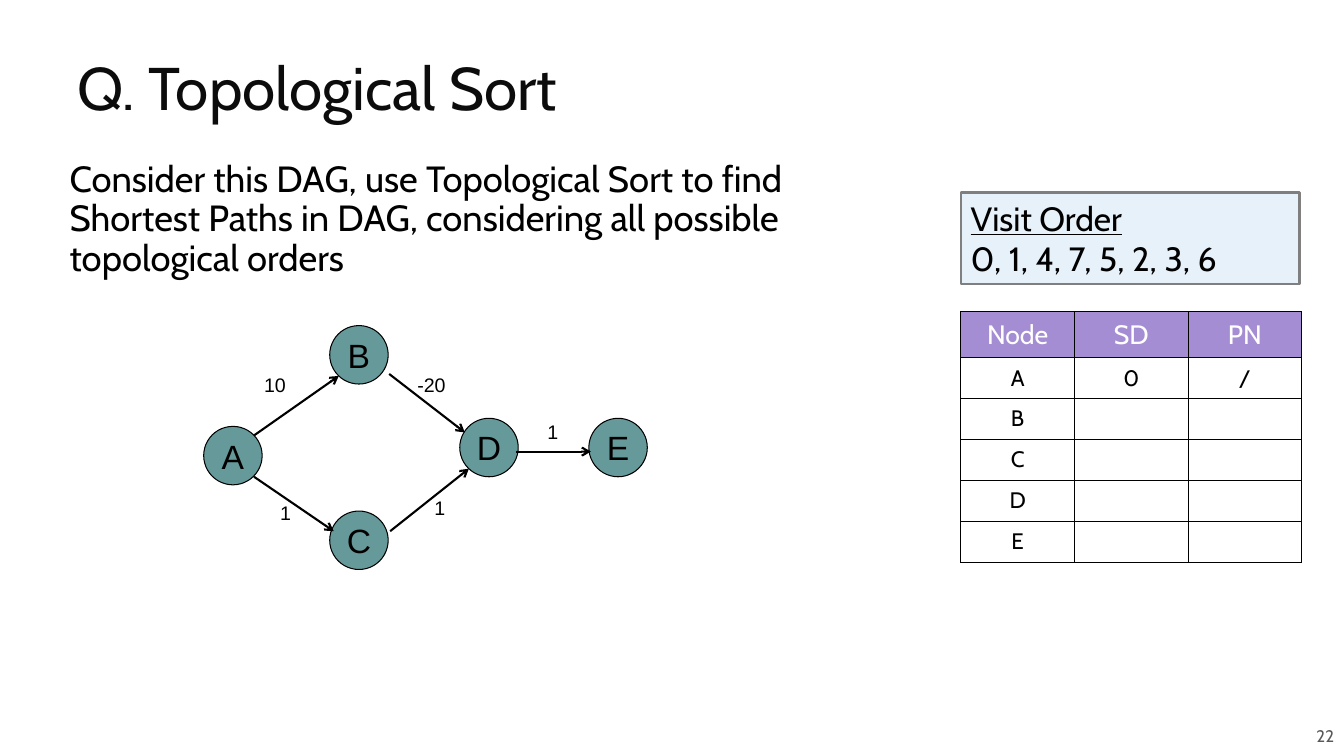
from dataclasses import dataclass

from lxml import etree
from pptx import Presentation
from pptx.dml.color import RGBColor
from pptx.enum import shapes, text
from pptx.oxml import ns
from pptx.util import Inches, Pt


@dataclass(frozen=True)
class Theme:
    """Fonts, colours and type sizes of the slide."""
    font: str = "Cabin"
    graph_font: str = "Arial"
    black: str = "000000"
    white: str = "FFFFFF"
    title: str = "0C0C0C"
    muted: str = "595959"
    node: str = "669999"
    panel: str = "E7F1FA"
    panel_line: str = "7F7F7F"
    header: str = "A48DD3"
    title_size: int = 43
    body_size: int = 26
    panel_size: int = 24
    node_size: int = 24
    header_size: int = 19
    cell_size: int = 16
    edge_size: int = 14
    number_size: int = 12


T = Theme()
MIDDLE = text.MSO_ANCHOR.MIDDLE
CENTER = text.PP_ALIGN.CENTER
NODE_SIZE = 0.58
NODES = {"A": (0, 1), "B": (1.25, 0), "C": (1.25, 1.84), "D": (2.54, 0.92), "E": (3.82, 0.92)}
EDGES = [
    ("10", (0.5, 1.09), (1.34, 0.5), (0.5, 0.42)),
    ("1", (0.5, 1.5), (1.29, 2.04), (0.66, 1.69)),
    ("-20", (1.84, 0.48), (2.59, 1.06), (2.02, 0.42)),
    ("1", (1.85, 2.04), (2.63, 1.42), (2.19, 1.64)),
    ("1", (3.1, 1.25), (3.84, 1.25), (3.31, 0.89)),
]
ROWS = [("Node", "SD", "PN"), ("A", "0", "/")] + [(n, "", "") for n in "BCDE"]


def rgb(value):
    """Turn a hex string into a colour."""
    return RGBColor.from_string(value)


def add_run(p, words, size, color=T.black, font=T.font, underline=None):
    """Append a styled run to a paragraph."""
    r = p.add_run()
    r.text = words
    r.font.name, r.font.size, r.font.underline = font, Pt(size), underline
    r.font.color.rgb = rgb(color)


def set_frame(tf, inset_x=0.1, inset_y=0.05, anchor=text.MSO_ANCHOR.TOP):
    """Set wrapping, insets and anchor, and return the first paragraph."""
    tf.word_wrap = True
    tf.margin_left = tf.margin_right = Inches(inset_x)
    tf.margin_top = tf.margin_bottom = Inches(inset_y)
    tf.vertical_anchor = anchor
    return tf.paragraphs[0]


def add_text(s, box, words, size, color=T.black, font=T.font, spacing=None,
             align=text.PP_ALIGN.LEFT, **frame):
    """Add a one-paragraph text box."""
    p = set_frame(s.shapes.add_textbox(*map(Inches, box)).text_frame, **frame)
    p.alignment, p.line_spacing = align, spacing
    add_run(p, words, size, color, font)


def add_filled(s, kind, box, fill, line, width):
    """Add a flat outlined shape."""
    sp = s.shapes.add_shape(kind, *map(Inches, box))
    sp.shadow.inherit = False
    sp.fill.solid()
    sp.fill.fore_color.rgb = rgb(fill)
    sp.line.color.rgb = rgb(line)
    sp.line.width = Pt(width)
    return sp


def add_arrow(s, start, end):
    """Draw a straight line with an open arrowhead."""
    c = s.shapes.add_connector(shapes.MSO_CONNECTOR.STRAIGHT, *map(Inches, (*start, *end)))
    c.line.color.rgb = rgb(T.black)
    c.line.width = Pt(1.5)
    etree.SubElement(c.line._get_or_add_ln(), ns.qn("a:tailEnd"), type="arrow")
    etree.SubElement(c._element.spPr, ns.qn("a:effectLst"))


def add_graph(s, box):
    """Draw the weighted graph from the box's top left corner."""
    left, top = box[:2]

    def place(point):
        """Shift a graph point onto the slide."""
        return left + point[0], top + point[1]

    for name, corner in NODES.items():
        sp = add_filled(s, shapes.MSO_SHAPE.OVAL, (*place(corner), NODE_SIZE, NODE_SIZE),
                        T.node, T.black, 0.75)
        p = set_frame(sp.text_frame, 0, 0, MIDDLE)
        p.alignment = CENTER
        add_run(p, name, T.node_size, font=T.graph_font)
    for weight, start, end, label in EDGES:
        add_arrow(s, place(start), place(end))
        add_text(s, (*place(label), 0.62, 0.34), weight, T.edge_size, font=T.graph_font)


def add_visit_order(s, box):
    """Draw the visit order panel."""
    sp = add_filled(s, shapes.MSO_SHAPE.RECTANGLE, box, T.panel, T.panel_line, 1.5)
    heading = set_frame(sp.text_frame)
    order = sp.text_frame.add_paragraph()
    heading.alignment = order.alignment = text.PP_ALIGN.LEFT
    add_run(heading, "Visit Order", T.panel_size, underline=True)
    add_run(order, "0, 1, 4, 7, 5, 2, 3, 6", T.panel_size)


def set_borders(cell):
    """Give a cell thin black borders, placed before its fill."""
    pr = cell._tc.get_or_add_tcPr()
    for i, side in enumerate(("lnL", "lnR", "lnT", "lnB")):
        ln = etree.Element(ns.qn(f"a:{side}"), w=str(Pt(0.75)))
        fill = etree.SubElement(ln, ns.qn("a:solidFill"))
        etree.SubElement(fill, ns.qn("a:srgbClr"), val=T.black)
        pr.insert(i, ln)


def add_distances(s, box):
    """Draw the shortest distance table."""
    width, height = box[2:]
    header_height = 0.44
    table = s.shapes.add_table(len(ROWS), len(ROWS[0]), *map(Inches, box)).table
    for column in table.columns:
        column.width = Inches(width / len(ROWS[0]))
    for i, values in enumerate(ROWS):
        fill, color, size = ((T.white, T.black, T.cell_size) if i
                             else (T.header, T.white, T.header_size))
        table.rows[i].height = Inches((height - header_height) / (len(ROWS) - 1)
                                      if i else header_height)
        for j, value in enumerate(values):
            cell = table.cell(i, j)
            cell.fill.solid()
            cell.fill.fore_color.rgb = rgb(fill)
            set_borders(cell)
            cell.vertical_anchor = MIDDLE
            cell.margin_left = cell.margin_right = Inches(0.07)
            cell.margin_top = cell.margin_bottom = Inches(0.07)
            p = cell.text_frame.paragraphs[0]
            p.alignment = CENTER
            if value:
                add_run(p, value, size, color)
            else:
                etree.SubElement(p._p, ns.qn("a:endParaRPr"), sz=str(size * 100))


def add_heading(s, box):
    """Place the slide title."""
    add_text(s, box, "Q. Topological Sort", T.title_size, T.title, spacing=0.8, anchor=MIDDLE)


def add_question(s, box):
    """Place the question."""
    add_text(s, box, "Consider this DAG, use Topological Sort to find Shortest Paths in DAG, "
             "considering all possible topological orders", T.body_size, spacing=0.9, inset_x=0.05)


def add_number(s, box):
    """Place the slide number."""
    add_text(s, box, "22", T.number_size, T.muted, align=text.PP_ALIGN.RIGHT,
             inset_y=0.1, anchor=MIDDLE)


def main():
    """Build and save the slide."""
    prs = Presentation()
    prs.slide_width, prs.slide_height = Inches(13.33), Inches(7.5)
    s = prs.slides.add_slide(prs.slide_layouts[6])
    add_number(s, (8.65, 7.1, 4.68, 0.4))
    add_question(s, (0.64, 1.55, 8.38, 1.55))
    add_heading(s, (0.67, 0.3, 12, 1.25))
    add_distances(s, (9.53, 3.09, 3.38, 2.45))
    add_visit_order(s, (9.53, 1.91, 3.36, 0.91))
    add_graph(s, (2.02, 3.23, 4.4, 2.42))
    prs.save("out.pptx")


if __name__ == "__main__":
    main()
